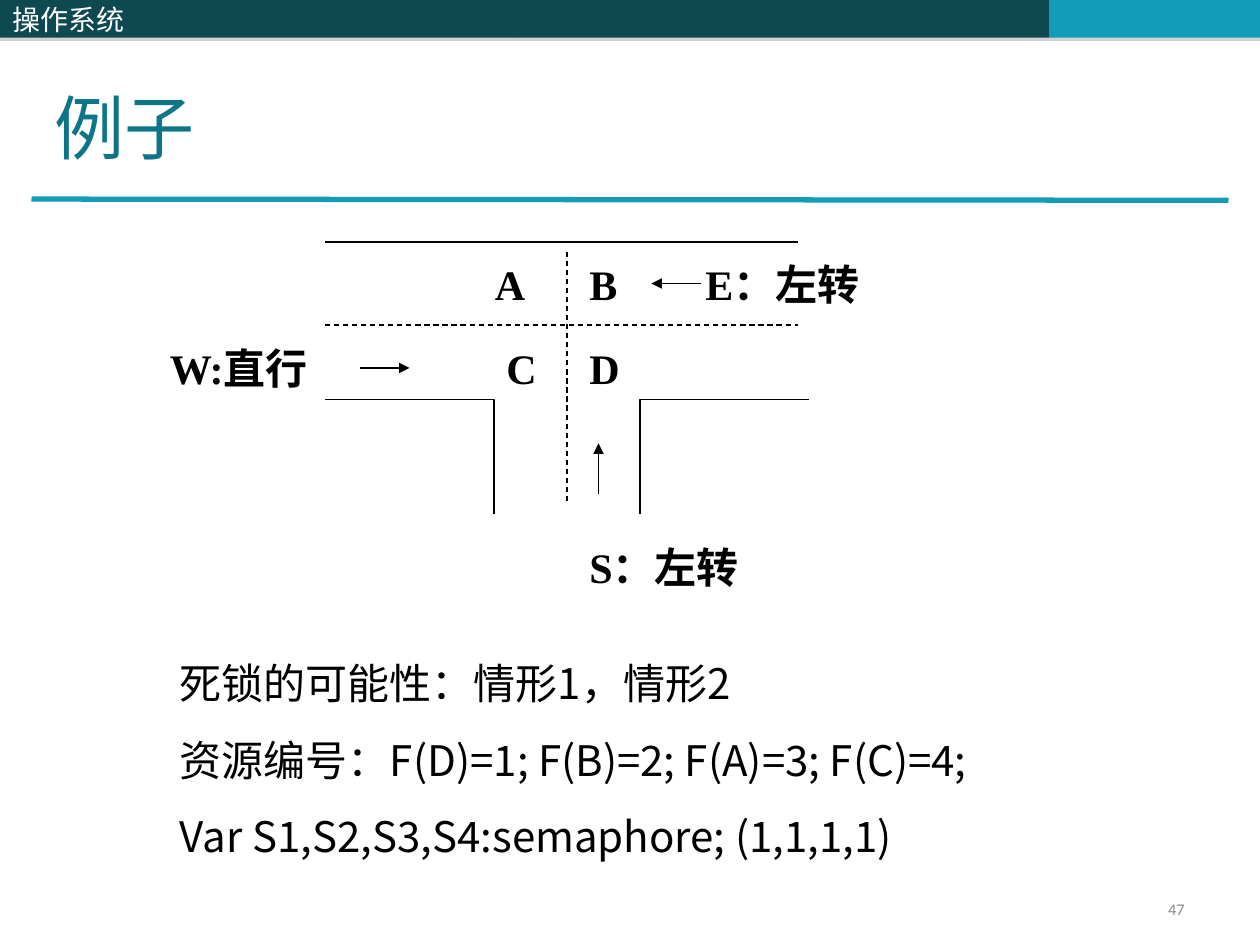
from lxml import etree
from pptx import Presentation
from pptx.dml.color import RGBColor
from pptx.enum.dml import MSO_LINE
from pptx.enum.shapes import MSO_CONNECTOR, MSO_SHAPE
from pptx.enum.text import MSO_ANCHOR, PP_ALIGN
from pptx.oxml import parse_xml
from pptx.oxml.ns import nsdecls, qn
from pptx.util import Inches, Pt

STRAIGHT = MSO_CONNECTOR.STRAIGHT
RECT = MSO_SHAPE.RECTANGLE
DASH = MSO_LINE.DASH
TOP, MIDDLE, BOTTOM = MSO_ANCHOR.TOP, MSO_ANCHOR.MIDDLE, MSO_ANCHOR.BOTTOM
LEFT, RIGHT = PP_ALIGN.LEFT, PP_ALIGN.RIGHT

SANS, SERIF, NUMBER = "Noto Sans CJK SC", "Times New Roman", "Calibri"
COLORS = {
    "dark": "0E4851",
    "accent": "139CB7",
    "title": "0E7589",
    "text": "000000",
    "number": "898989",
    "white": "FFFFFF",
}


def rgb(name):
    return RGBColor.from_string(COLORS[name])


def write(shape, lines, size, font, color, bold=False, align=LEFT,
          anchor=TOP, gap=0):
    """Fill a shape with paragraphs set apart by gap points."""
    tf = shape.text_frame
    tf.word_wrap = True
    tf.vertical_anchor = anchor
    tf.text = "\n".join(lines)
    for i, p in enumerate(tf.paragraphs):
        p.alignment = align
        p.space_before = Pt(gap if i else 0)
        for r in p.runs:
            r.font.size = Pt(size)
            r.font.name = font
            r.font.bold = bold
            r.font.color.rgb = rgb(color)
            ea = etree.SubElement(r.font._element, qn("a:ea"))
            ea.set("typeface", SANS)


def add_text(s, box, lines, size, font, color, **options):
    tb = s.shapes.add_textbox(*map(Inches, box))
    write(tb, lines, size, font, color, **options)


def add_band(s, left, width, color):
    band = s.shapes.add_shape(RECT, Inches(left), 0, Inches(width), Inches(0.3))
    band.fill.solid()
    band.fill.fore_color.rgb = rgb(color)
    band.line.fill.background()
    band._element.spPr.append(parse_xml(
        f'<a:effectLst {nsdecls("a")}><a:outerShdw dist="22860" dir="5400000">'
        '<a:srgbClr val="808080"><a:alpha val="35000"/></a:srgbClr>'
        '</a:outerShdw></a:effectLst>'))
    return band


def add_line(s, start, end, color="text", width=0.75, dashed=False, arrow=False):
    line = s.shapes.add_connector(STRAIGHT, *map(Inches, start + end))
    line.line.color.rgb = rgb(color)
    line.line.width = Pt(width)
    if dashed:
        line.line.dash_style = DASH
    if arrow:
        tail = etree.SubElement(line.line._get_or_add_ln(), qn("a:tailEnd"))
        tail.set("type", "triangle")
    etree.SubElement(line._element.spPr, qn("a:effectLst"))


def add_corner(s, outer_x, inner_x):
    """Draw the kerb from the main road down into the side road."""
    fb = s.shapes.build_freeform(Inches(outer_x), Inches(3.17))
    fb.add_line_segments(
        [(Inches(inner_x), Inches(y)) for y in (3.17, 4.08)], close=False)
    corner = fb.convert_to_shape()
    corner.fill.background()
    corner.line.color.rgb = rgb("text")
    corner.line.width = Pt(0.75)
    corner.shadow.inherit = False


def add_header(s):
    add_band(s, 4.08, 4.25, "dark")
    add_band(s, 8.33, 1.67, "accent")
    add_line(s, (0.25, 1.58), (9.75, 1.59), "accent", 3)
    course = add_band(s, 0, 4.08, "dark")
    write(course, ["操作系统"], 16, SANS, "white", anchor=MIDDLE)

    title = s.shapes.title
    title.left, title.top = Inches(0.33), Inches(0.14)
    title.width, title.height = Inches(8.5), Inches(1.25)
    write(title, ["例子"], 40, SANS, "title", anchor=BOTTOM)


def add_junction(s):
    add_line(s, (2.58, 1.92), (6.33, 1.92))
    add_corner(s, 2.58, 3.92)
    add_corner(s, 6.42, 5.08)
    add_line(s, (2.58, 2.58), (6.33, 2.58), dashed=True)
    add_line(s, (4.5, 2), (4.5, 4), dashed=True)

    for start, end in (((2.86, 2.92), (3.25, 2.92)),
                       ((5.56, 2.25), (5.17, 2.25)),
                       ((4.75, 3.92), (4.75, 3.52))):
        add_line(s, start, end, arrow=True)

    for label, box in (("A", (3.83, 2, 0.5, 0.5)),
                       ("B", (4.58, 2, 0.5, 0.5)),
                       ("C", (3.92, 2.67, 0.5, 0.5)),
                       ("D", (4.58, 2.67, 0.5, 0.5)),
                       ("W:直行", (1.25, 2.67, 1.33, 0.9)),
                       ("E：左转", (5.5, 2, 1.5, 0.5)),
                       ("S：左转", (4.58, 4.25, 1.42, 0.9))):
        add_text(s, box, [label], 24, SERIF, "text", bold=True)


def main():
    prs = Presentation()
    prs.slide_width, prs.slide_height = Inches(10), Inches(7.5)
    s = prs.slides.add_slide(prs.slide_layouts[5])
    add_header(s)
    add_junction(s)
    add_text(s, (1.33, 5.17, 7.83, 2.12),
             ["死锁的可能性：情形1，情形2",
              "资源编号：F(D)=1; F(B)=2; F(A)=3; F(C)=4;",
              "Var S1,S2,S3,S4:semaphore; (1,1,1,1)"],
             24, SANS, "text", gap=15)
    add_text(s, (7.17, 7.08, 2.33, 0.27), ["47"], 9.3, NUMBER, "number",
             align=RIGHT, anchor=MIDDLE)
    prs.save("out.pptx")


if __name__ == "__main__":
    main()
